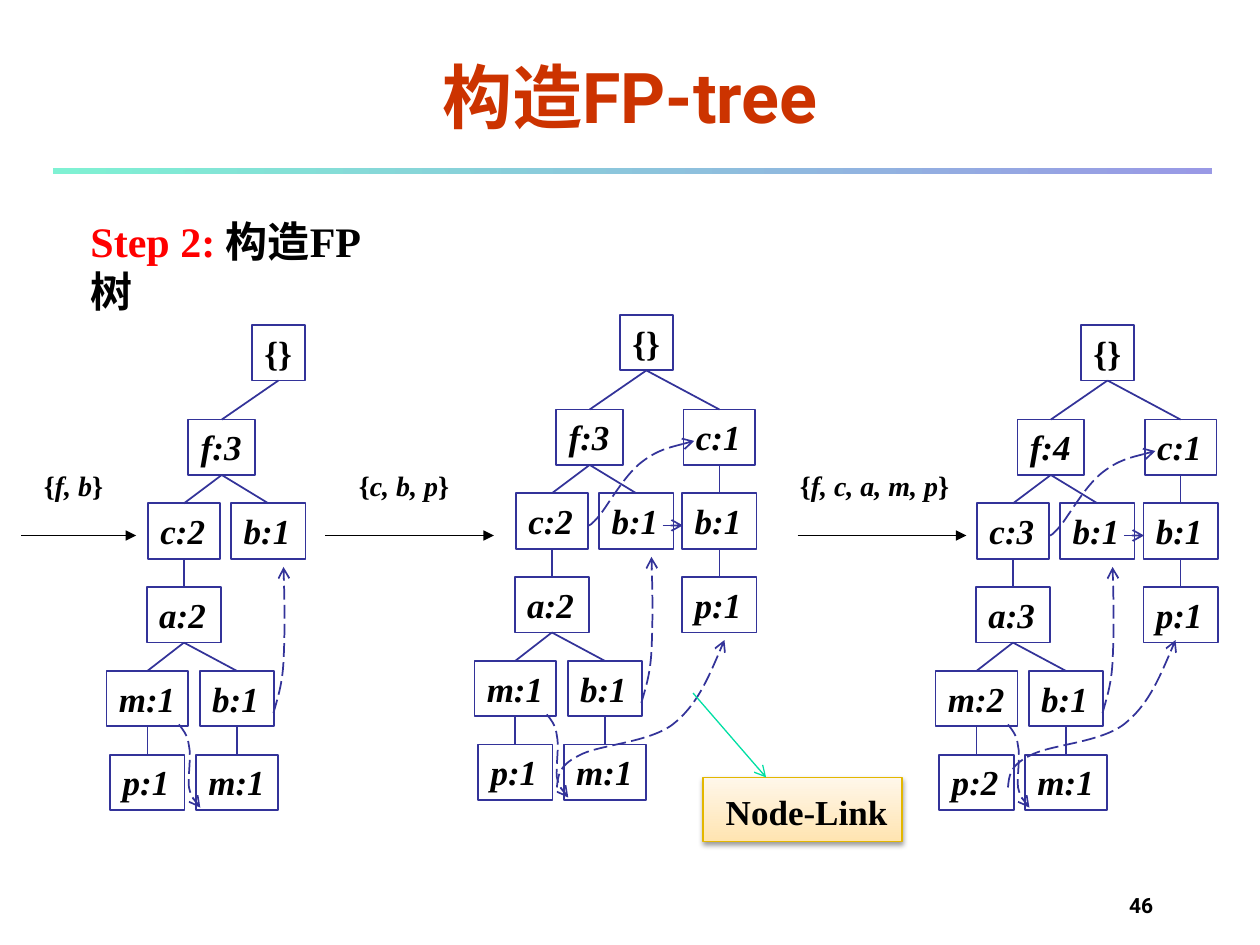
from lxml import etree
from pptx import Presentation
from pptx import util as u
from pptx.dml.color import RGBColor
from pptx.enum import dml, shapes, text
from pptx.oxml.ns import qn

COLORS = {
    "title": "CC3300", "step": "FF0000", "ink": "000000", "tree": "333399",
    "bar_start": "7FF1D3", "bar_end": "9999E5", "pointer": "00DFA4",
    "legend_line": "E3B700", "legend_dark": "FFE4B1", "legend_light": "FFF7EA",
}
SERIF, SANS = "Times New Roman", "Roboto"

ROW_TOPS = [0] + [0.75 + 0.665 * row for row in range(5)]
NODE_HEIGHT = 0.44
NODE_WIDTHS = {"{": 0.42, "f": 0.53, "c": 0.57, "m": 0.65}
# node: (item, centre, row, parent)
NODES = {
    "root": ("{}", 1.37, 0, None),
    "f": ("f", 0.92, 1, "root"),
    "c": ("c", 0.62, 2, "f"),
    "f_b": ("b", 1.29, 2, "f"),
    "a": ("a", 0.62, 3, "c"),
    "m": ("m", 0.33, 4, "a"),
    "a_b": ("b", 1.04, 4, "a"),
    "p": ("p", 0.33, 5, "m"),
    "b_m": ("m", 1.04, 5, "a_b"),
    "right_c": ("c", 1.95, 1, "root"),
    "right_b": ("b", 1.95, 2, "right_c"),
    "right_p": ("p", 1.95, 3, "right_b"),
}
LEFT_COUNTS = {"root": None, "f": 3, "c": 2, "f_b": 1, "a": 2, "m": 1,
               "a_b": 1, "p": 1, "b_m": 1}
BOTH_COUNTS = LEFT_COUNTS | {"right_c": 1, "right_b": 1, "right_p": 1}

# Node-links as Bézier points: a start, then three points for each curve
B_LINK = [(1.33, 3.08), (1.36, 2.97), (1.4, 2.86), (1.41, 2.67),
          (1.42, 2.47), (1.42, 2.2), (1.41, 1.92)]
M_LINK = [(0.58, 3.17), (0.61, 3.21), (0.65, 3.25), (0.66, 3.34), (0.68, 3.42),
          (0.65, 3.59), (0.66, 3.67), (0.68, 3.75), (0.71, 3.79), (0.75, 3.83)]
C_LINK = [(0.91, 1.67), (0.92, 1.67), (0.93, 1.67), (1, 1.59), (1.07, 1.5),
          (1.2, 1.27), (1.33, 1.17), (1.46, 1.07), (1.6, 1.04), (1.75, 1)]
P_LINK = [(0.58, 3.67), (0.59, 3.58), (0.59, 3.5), (0.75, 3.42), (0.9, 3.33),
          (1.3, 3.32), (1.5, 3.17), (1.69, 3.02), (1.8, 2.76), (1.91, 2.5)]


def rgb(name):
    return RGBColor.from_string(COLORS[name])


def style_run(run, size, color="ink", font=SERIF, italic=False):
    run.font.size, run.font.name = u.Pt(size), font
    run.font.bold, run.font.italic = True, italic
    run.font.color.rgb = rgb(color)


def style_line(shape, color, width, head=None, dashed=False):
    shape.line.color.rgb = rgb(color)
    shape.line.width = u.Pt(width)
    if dashed:
        shape.line.dash_style = dml.MSO_LINE.LONG_DASH
    if head:
        etree.SubElement(shape.line._get_or_add_ln(), qn("a:tailEnd"), type=head)


def add_line(slide, start, end, color="tree", width=1, head=None, dashed=False):
    line = slide.shapes.add_connector(
        shapes.MSO_CONNECTOR.STRAIGHT, *map(u.Inches, (*start, *end)))
    style_line(line, color, width, head, dashed)
    etree.SubElement(line._element.spPr, qn("a:effectLst"))


def add_box(slide, left, top, width, height):
    box = slide.shapes.add_shape(
        shapes.MSO_SHAPE.RECTANGLE, *map(u.Inches, (left, top, width, height)))
    box.shadow.inherit = False
    box.fill.background()
    box.text_frame.word_wrap = False
    box.text_frame.vertical_anchor = text.MSO_ANCHOR.TOP
    box.text_frame.paragraphs[0].alignment = text.PP_ALIGN.LEFT
    return box


def add_label(slide, left, top, width, height, parts, wrap=False):
    """Place a text box whose parts are (words, run style) pairs."""
    label = slide.shapes.add_textbox(*map(u.Inches, (left, top, width, height)))
    label.text_frame.word_wrap = wrap
    for words, style in parts:
        run = label.text_frame.paragraphs[0].add_run()
        run.text = words
        style_run(run, **style)
    return label


def add_gradient(shape, start, end, angle):
    shape.fill.gradient()
    shape.fill.gradient_angle = angle
    for stop, color in zip(shape.fill.gradient_stops, (start, end)):
        stop.color.rgb = rgb(color)


def add_node_link(slide, left, top, points):
    """Draw a dashed curve by turning each three line segments into a Bézier."""
    start, *rest = [(u.Inches(left + x), u.Inches(top + y)) for x, y in points]
    builder = slide.shapes.build_freeform(*start, scale=1.0)
    builder.add_line_segments(rest, close=False)
    link = builder.convert_to_shape()
    link.shadow.inherit = False
    link.fill.background()
    style_line(link, "tree", 1, "arrow", dashed=True)
    segments = list(link._element.iter(qn("a:lnTo")))
    for i in range(0, len(segments), 3):
        curve = etree.Element(qn("a:cubicBezTo"))
        segments[i].addprevious(curve)
        for segment in segments[i:i + 3]:
            curve.append(segment[0])
            segment.getparent().remove(segment)


def add_tree(slide, left, top, counts, links):
    for key, count in counts.items():
        item, centre, row, parent = NODES[key]
        x, y = left + centre, top + ROW_TOPS[row]
        width = NODE_WIDTHS.get(item[0], 0.59)
        node = add_box(slide, x - width / 2, y, width, NODE_HEIGHT)
        style_line(node, "tree", 1)
        node.text_frame.text = item if count is None else f"{item}:{count}"
        style_run(node.text_frame.paragraphs[0].runs[0], 20, italic=count is not None)
        if parent:
            _, parent_centre, parent_row, _ = NODES[parent]
            parent_bottom = top + ROW_TOPS[parent_row] + NODE_HEIGHT
            add_line(slide, (left + parent_centre, parent_bottom), (x, y))
    for link in links:
        add_node_link(slide, left, top, link)
    if "right_b" in counts:
        add_line(slide, (left + 1.5, top + 1.67), (left + 1.66, top + 1.67),
                 head="arrow", dashed=True)


def add_transaction(slide, label_left, label_width, items, start, end):
    plain, slanted = {"size": 16}, {"size": 16, "italic": True}
    add_label(slide, label_left, 3.67, label_width, 0.37,
              [("{", plain), (items, slanted), ("}", plain)])
    add_line(slide, (start, 4.25), (end, 4.25), "ink", 0.75, "triangle")


def add_legend(slide, left, top, width, height):
    legend = add_box(slide, left, top, width, height)
    add_gradient(legend, "legend_dark", "legend_light", 90)
    style_line(legend, "legend_line", 0.75)
    effects = legend._element.spPr.find(qn("a:effectLst"))
    shadow = etree.SubElement(effects, qn("a:outerShdw"), blurRad=str(u.Pt(3.1)),
                              dist=str(u.Pt(1.6)), dir="5400000", rotWithShape="0")
    black = etree.SubElement(shadow, qn("a:srgbClr"), val=COLORS["ink"])
    etree.SubElement(black, qn("a:alpha"), val="38000")
    frame = legend.text_frame
    frame.margin_left, frame.margin_top = u.Inches(0.18), u.Inches(0.1)
    frame.text = "Node-Link"
    style_run(frame.paragraphs[0].runs[0], 20)
    add_line(slide, (left - 0.08, top - 0.67), (left + 0.5, top),
             "pointer", 0.75, "arrow")


def add_header(slide, width):
    title = slide.shapes.title
    title.left, title.top = 0, u.Inches(0.17)
    title.width, title.height = width, u.Inches(1.17)
    title.text_frame.text = "构造FP-tree"
    title.text_frame.vertical_anchor = text.MSO_ANCHOR.MIDDLE
    title.text_frame.paragraphs[0].alignment = text.PP_ALIGN.CENTER
    style_run(title.text_frame.paragraphs[0].runs[0], 40, "title", SANS)
    bar = add_box(slide, 0.42, 1.33, 9.2, 0.05)
    add_gradient(bar, "bar_start", "bar_end", 0)
    bar.line.fill.background()
    add_label(slide, 0.62, 1.66, 2.63, 0.51,
              [("Step 2:", {"size": 24, "color": "step"}),
               (" 构造FP树", {"size": 24})], wrap=True)


def add_page_number(slide):
    number = add_label(slide, 7.17, 6.83, 2.08, 0.5,
                       [("46", {"size": 12, "font": SANS})], wrap=True)
    number.text_frame.vertical_anchor = text.MSO_ANCHOR.BOTTOM
    number.text_frame.paragraphs[0].alignment = text.PP_ALIGN.RIGHT


def main():
    deck = Presentation()
    deck.slide_width, deck.slide_height = u.Inches(10), u.Inches(7.5)
    slide = deck.slides.add_slide(deck.slide_layouts[5])
    add_header(slide, deck.slide_width)
    add_transaction(slide, 0.25, 0.7, "f, b", 0.17, 1.08)
    add_transaction(slide, 2.75, 0.96, "c, b, p", 2.58, 3.92)
    add_transaction(slide, 6.25, 1.4, "f, c, a, m, p", 6.33, 7.67)
    lower_p_link = [(x + 0.08, y + 0.08) for x, y in P_LINK]
    add_tree(slide, 0.84, 2.58, LEFT_COUNTS, [B_LINK, M_LINK])
    add_tree(slide, 3.76, 2.5, BOTH_COUNTS, [B_LINK, M_LINK, C_LINK, lower_p_link])
    add_tree(slide, 7.42, 2.58, BOTH_COUNTS | {"f": 4, "c": 3, "a": 3, "m": 2, "p": 2},
             [B_LINK, M_LINK, C_LINK, P_LINK])
    add_legend(slide, 5.58, 6.17, 1.58, 0.51)
    add_page_number(slide)
    deck.save("out.pptx")


if __name__ == "__main__":
    main()
